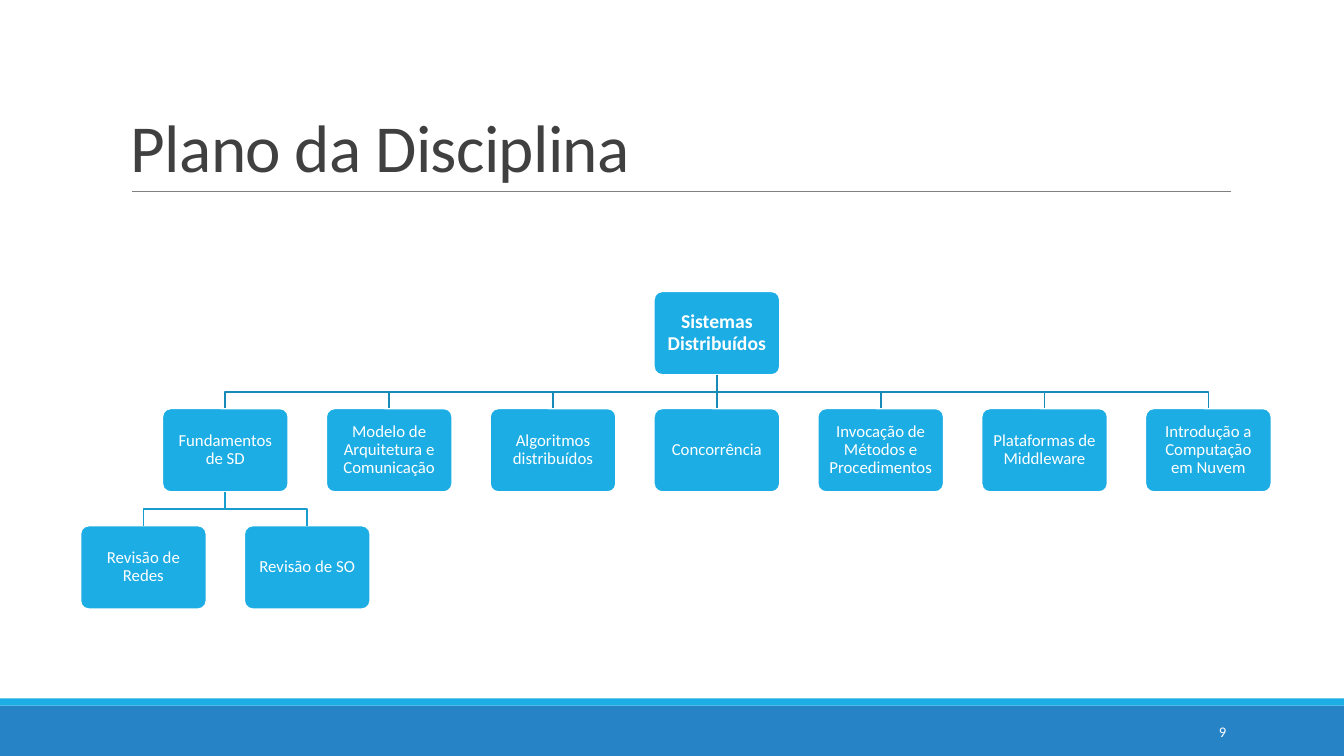
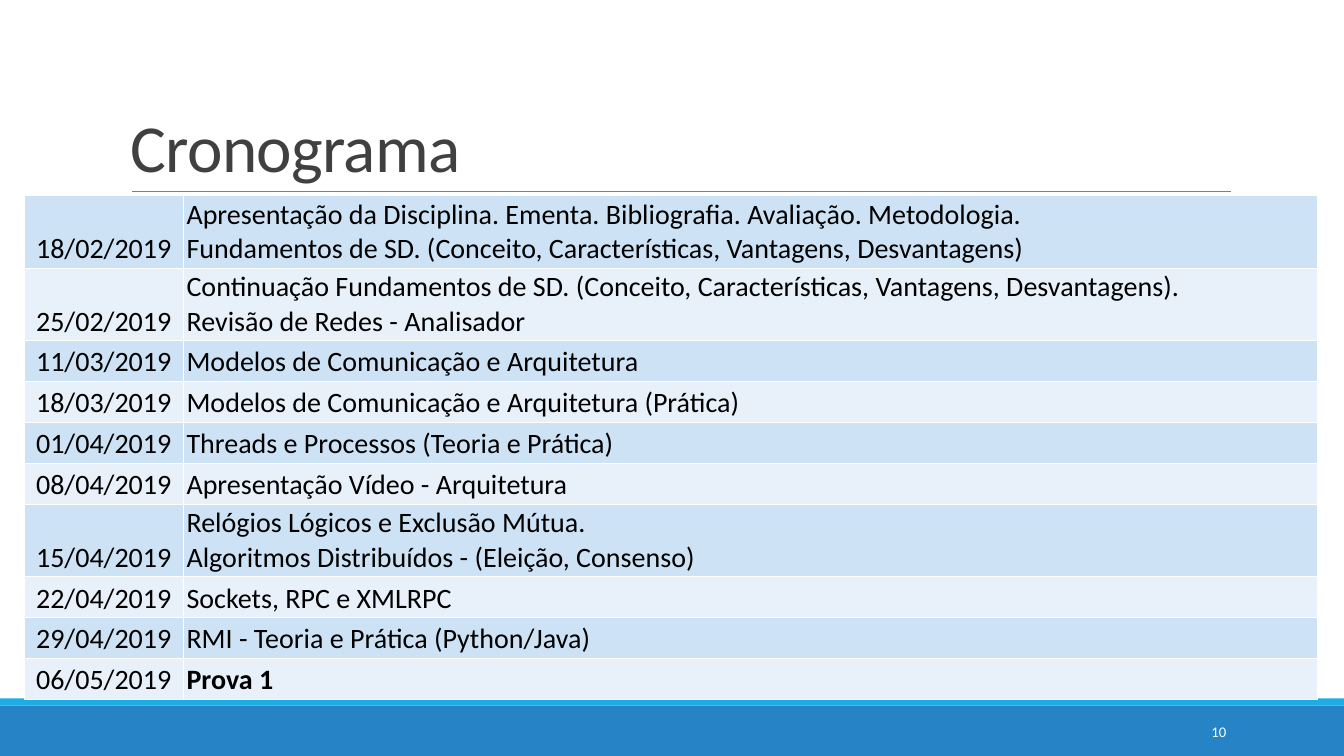
from lxml import etree
from pptx import Presentation
from pptx import util as u
from pptx.dml.color import RGBColor
from pptx.enum import shapes, text
from pptx.oxml.ns import qn

# Content: each topic is (name, subtopics)
PLAN = ("Sistemas Distribuídos", [
    ("Fundamentos de SD", [("Revisão de Redes", []), ("Revisão de SO", [])]),
    ("Modelo de Arquitetura e Comunicação", []),
    ("Algoritmos distribuídos", []),
    ("Concorrência", []),
    ("Invocação de Métodos e Procedimentos", []),
    ("Plataformas de Middleware", []),
    ("Introdução a Computação em Nuvem", []),
])
SCHEDULE = [
    ("18/02/2019", ["Apresentação da Disciplina. Ementa. Bibliografia. Avaliação. Metodologia.",
                    "Fundamentos de SD. (Conceito, Características, Vantagens, Desvantagens)"]),
    ("25/02/2019", ["Continuação Fundamentos de SD. (Conceito, Características, Vantagens, Desvantagens).",
                    "Revisão de Redes - Analisador"]),
    ("11/03/2019", ["Modelos de Comunicação e Arquitetura"]),
    ("18/03/2019", ["Modelos de Comunicação e Arquitetura (Prática)"]),
    ("01/04/2019", ["Threads e Processos (Teoria e Prática)"]),
    ("08/04/2019", ["Apresentação Vídeo - Arquitetura"]),
    ("15/04/2019", ["Relógios Lógicos e Exclusão Mútua.",
                    "Algoritmos Distribuídos - (Eleição, Consenso)"]),
    ("22/04/2019", ["Sockets, RPC e XMLRPC"]),
    ("29/04/2019", ["RMI - Teoria e Prática (Python/Java)"]),
    ("06/05/2019", ["Prova 1"]),
]
EXAM = "Prova 1"

# Shared style
FONT = "Calibri"
WHITE, BLACK, TITLE, RULE = "FFFFFF", "000000", "404040", "808080"
BLUE, CYAN = "2683C6", "1CADE4"
BRANCHES = ["168BB7", "199DCF"]
STRIPES = ["CDE3F5", "E8F1FA"]
WIDTH, HEIGHT = u.Inches(13.33), u.Inches(7.5)

# Tree measures
ROOT_X, ROOT_Y = u.Inches(7.11), u.Inches(2.89)
NODE_W, NODE_H = u.Inches(1.25), u.Inches(0.83)
PITCH_X, PITCH_Y = int(NODE_W * 1.3), int(NODE_H * 1.4)

# Table measures
COLUMNS = [u.Inches(1.58), u.Inches(11.25)]
ROW_HEIGHTS = {1: u.Inches(2.84 / 7), 2: u.Inches(0.72)}


def color(value):
    return RGBColor.from_string(value)


def paint(shape, fill, line=None, width=1.25):
    shape.shadow.inherit = False
    shape.fill.solid()
    shape.fill.fore_color.rgb = color(fill)
    if line:
        shape.line.color.rgb = color(line)
        shape.line.width = u.Pt(width)
    else:
        shape.line.fill.background()


def set_margins(owner, x, y):
    owner.margin_left = owner.margin_right = u.Inches(x)
    owner.margin_top = owner.margin_bottom = u.Inches(y)


def write(frame, lines, size, ink, align=text.PP_ALIGN.LEFT, bold=False, spacing=None, tracking=None):
    for index, line in enumerate(lines):
        para = frame.add_paragraph() if index else frame.paragraphs[0]
        para.alignment = align
        if spacing:
            para.line_spacing = spacing
        span = para.add_run()
        span.text = line
        span.font.name, span.font.size, span.font.bold = FONT, u.Pt(size), bold
        span.font.color.rgb = color(ink)
        if tracking:
            span.font._element.set("spc", str(tracking))


def add_text(page, left, top, width, height, words, size, ink, anchor, **style):
    box = page.shapes.add_textbox(*map(u.Inches, (left, top, width, height)))
    box.text_frame.word_wrap = True
    box.text_frame.vertical_anchor = anchor
    write(box.text_frame, [words], size, ink, **style)


def add_line(page, x1, y1, x2, y2, ink, width):
    line = page.shapes.add_connector(shapes.MSO_CONNECTOR.STRAIGHT, x1, y1, x2, y2)
    line.line.color.rgb = color(ink)
    line.line.width = u.Pt(width)
    etree.SubElement(line._element.spPr, qn("a:effectLst"))
    return line


def add_page(deck, title):
    page = deck.slides.add_slide(deck.slide_layouts[6])
    for top, height, fill in ((7, 0.5, BLUE), (6.93, 0.07, CYAN)):
        band = page.shapes.add_shape(shapes.MSO_SHAPE.RECTANGLE, 0, u.Inches(top), WIDTH, u.Inches(height))
        paint(band, fill)
    add_line(page, *map(u.Inches, (1.31, 1.9, 12.21, 1.9)), RULE, 0.5)
    add_text(page, 1.2, 0.31, 11, 1.59, title, 48, TITLE, text.MSO_ANCHOR.BOTTOM,
             spacing=0.85, tracking=-50)
    return page


def add_number(page, number):
    add_text(page, 10.83, 7.06, 1.43, 0.4, str(number), 10.5, WHITE, text.MSO_ANCHOR.MIDDLE,
             align=text.PP_ALIGN.RIGHT)


def add_branch(page, parent, child, ink):
    x1, y1 = parent.left + NODE_W // 2, parent.top + NODE_H
    x2, y2 = child.left + NODE_W // 2, child.top
    if x1 == x2:
        line = add_line(page, x1, y1, x2, y2, ink, 1.25)
        line.begin_connect(parent, 2)
        line.end_connect(child, 0)
        return
    middle = (y1 + y2) // 2
    builder = page.shapes.build_freeform(x1, y1)
    builder.add_line_segments([(x1, middle), (x2, middle), (x2, y2)], close=False)
    elbow = builder.convert_to_shape()
    paint(elbow, WHITE, ink)
    elbow.fill.background()


def add_topic(page, topic, center, level=0):
    """Draw a topic with its subtopics spread evenly below it."""
    name, subtopics = topic
    is_root = level == 0
    node = page.shapes.add_shape(shapes.MSO_SHAPE.ROUNDED_RECTANGLE, center - NODE_W // 2,
                                 ROOT_Y + level * PITCH_Y, NODE_W, NODE_H)
    node.adjustments[0] = 0.1
    paint(node, CYAN, WHITE)
    frame = node.text_frame
    frame.word_wrap = True
    frame.vertical_anchor = text.MSO_ANCHOR.MIDDLE
    inset = 0.06 if is_root else 0.05
    set_margins(frame, inset, inset)
    write(frame, [name], 14 if is_root else 12, WHITE, text.PP_ALIGN.CENTER, is_root, 0.9)
    first = center - PITCH_X * (len(subtopics) - 1) // 2
    for index, subtopic in enumerate(subtopics):
        child = add_topic(page, subtopic, first + index * PITCH_X, level + 1)
        add_branch(page, node, child, BRANCHES[level])
    return node


def add_borders(cell):
    properties = cell._tc.get_or_add_tcPr()
    for index, side in enumerate(("lnL", "lnR", "lnT", "lnB")):
        border = etree.Element(qn("a:" + side), w=str(u.Pt(1)))
        fill = etree.SubElement(border, qn("a:solidFill"))
        etree.SubElement(fill, qn("a:srgbClr"), val=WHITE)
        properties.insert(index, border)


def add_schedule(page):
    heights = [ROW_HEIGHTS[len(lines)] for _, lines in SCHEDULE]
    table = page.shapes.add_table(len(SCHEDULE), 2, u.Inches(0.24), u.Inches(1.94),
                                  sum(COLUMNS), sum(heights)).table
    table.first_row = table.horz_banding = False
    for column, width in zip(table.columns, COLUMNS):
        column.width = width
    for index, (date, lines) in enumerate(SCHEDULE):
        table.rows[index].height = heights[index]
        parts = ((([date]), text.PP_ALIGN.CENTER), (lines, text.PP_ALIGN.LEFT))
        for cell, (words, align) in zip(table.rows[index].cells, parts):
            cell.fill.solid()
            cell.fill.fore_color.rgb = color(STRIPES[index % 2])
            cell.vertical_anchor = text.MSO_ANCHOR.BOTTOM
            set_margins(cell, 0.03, 0.02)
            write(cell.text_frame, words, 20, BLACK, align, bold=words == [EXAM])
            add_borders(cell)


def main():
    deck = Presentation()
    deck.slide_width, deck.slide_height = WIDTH, HEIGHT

    # Course plan
    page = add_page(deck, "Plano da Disciplina")
    add_topic(page, PLAN, ROOT_X)
    add_number(page, 9)

    # Schedule
    page = add_page(deck, "Cronograma")
    add_schedule(page)
    add_number(page, 10)

    deck.save("out.pptx")


if __name__ == "__main__":
    main()
